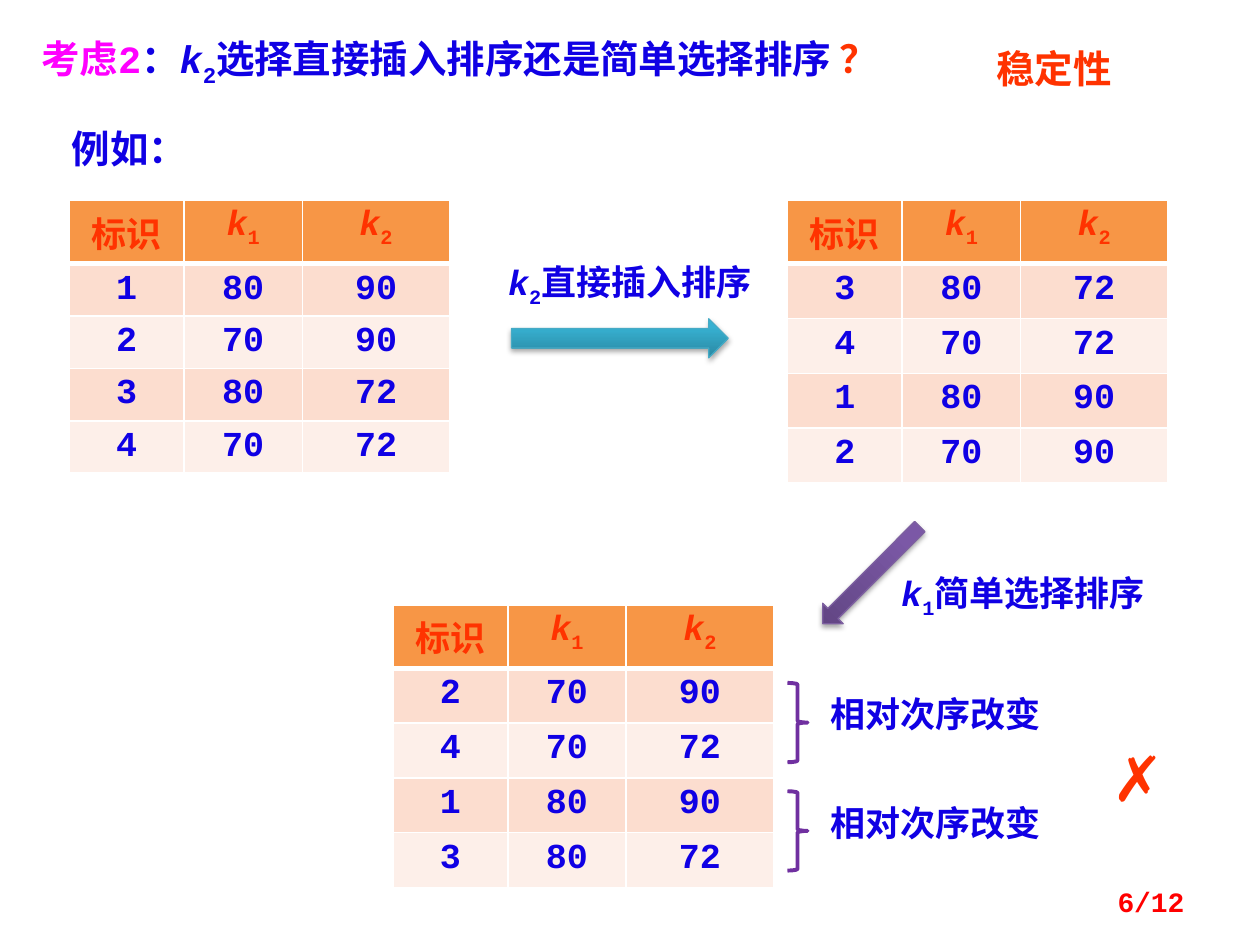
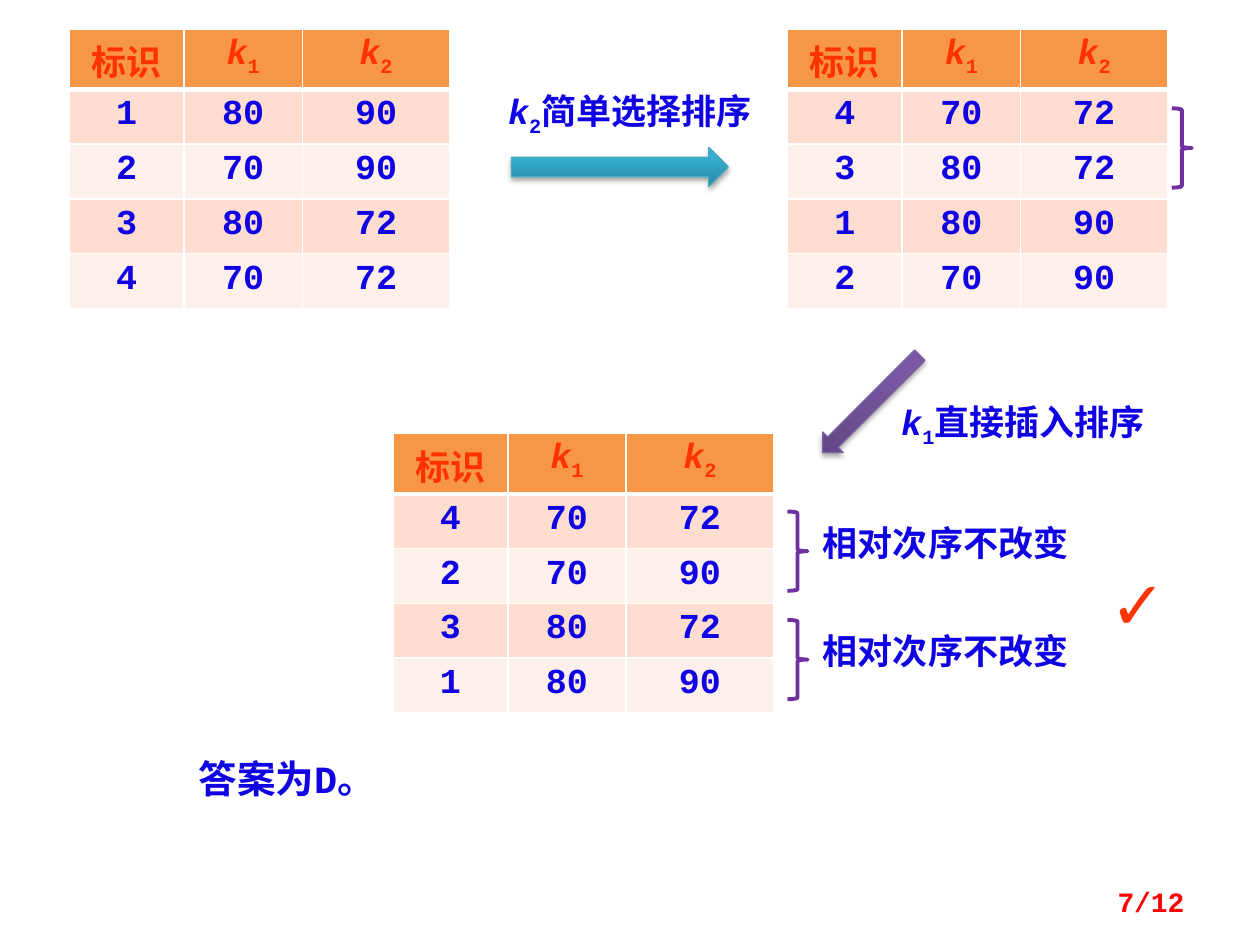
from copy import deepcopy
from dataclasses import dataclass

from lxml import etree
from pptx import Presentation
from pptx.dml.color import RGBColor
from pptx.enum.shapes import MSO_SHAPE
from pptx.enum.text import MSO_ANCHOR, MSO_AUTO_SIZE, PP_ALIGN
from pptx.oxml import parse_xml
from pptx.oxml.ns import nsdecls, qn
from pptx.util import Inches, Pt

RIGHT_ARROW = MSO_SHAPE.RIGHT_ARROW
DOWN_ARROW = MSO_SHAPE.DOWN_ARROW
BRACE = MSO_SHAPE.RIGHT_BRACE
LEFT, CENTER, RIGHT = PP_ALIGN.LEFT, PP_ALIGN.CENTER, PP_ALIGN.RIGHT
MIDDLE = MSO_ANCHOR.MIDDLE
GROW = MSO_AUTO_SIZE.SHAPE_TO_FIT_TEXT


@dataclass(frozen=True)
class Theme:
    """Colours, font and type sizes of the deck."""
    font: str = "Courier New"
    ink: str = "1000E4"
    accent: str = "FF3300"
    pink: str = "FF00FF"
    page: str = "FF0000"
    white: str = "FFFFFF"
    head: str = "F79646"
    bands: tuple = ("FCDDCF", "FDEFE9")
    brace: str = "7030A0"
    teal: tuple = ("2A88A2", "37B1D2", "34B4D6", "46AAC5")
    purple: tuple = ("5F4480", "7B58A6", "7C57A8", "7D60A0")
    title: int = 22
    body: int = 20
    mark: int = 44
    foot: int = 16


T = Theme()
WIDTHS = (0.91, 0.94, 1.17)
HEAD_TALL, TALL = 0.47, 2.21
FIRST = ((1, 80, 90), (2, 70, 90), (3, 80, 72), (4, 70, 72))


def rgb(code):
    """Turn a hex code into a colour."""
    return RGBColor.from_string(code)


def key(sub, color):
    """Give the runs of the letter k with its subscript."""
    return [("k", color, "italic"), (sub, color, "sub")]


def write(frame, parts, size, align):
    """Fill the first paragraph with runs of (text, colour, kind)."""
    para = frame.paragraphs[0]
    para.alignment = align
    for text, color, kind in parts:
        run = para.add_run()
        run.text = text
        font = run.font
        font.name, font.size, font.bold = T.font, Pt(size), True
        font.italic = kind == "italic"
        font.color.rgb = rgb(color)
        if kind == "sub":
            run._r.get_or_add_rPr().set("baseline", "-25000")


def add_text(slide, box, parts, size=T.body, align=CENTER):
    """Add a wrapping text box and return its frame."""
    frame = slide.shapes.add_textbox(*map(Inches, box)).text_frame
    frame.word_wrap = True
    frame.auto_size = GROW
    write(frame, parts, size, align)
    return frame


def add_edges(cell, top, bottom):
    """Draw white borders round a cell."""
    props = cell._tc.get_or_add_tcPr()
    for side, width in (("L", 1), ("R", 1), ("T", top), ("B", bottom)):
        props.append(parse_xml(
            f'<a:ln{side} {nsdecls("a")} w="{Pt(width)}"><a:solidFill>'
            f'<a:srgbClr val="{T.white}"/></a:solidFill></a:ln{side}>'))


def add_grid(slide, left, top, data, head_tall=HEAD_TALL, tall=TALL):
    """Add a table of marks with keys k1 and k2."""
    grid = slide.shapes.add_table(
        len(data) + 1, len(WIDTHS), Inches(left), Inches(top),
        Inches(sum(WIDTHS)), Inches(tall)).table
    for column, width in zip(grid.columns, WIDTHS):
        column.width = Inches(width)
    heads = [[("标识", T.accent, "")], key("1", T.accent), key("2", T.accent)]
    body = [[[(str(value), T.ink, "")] for value in line] for line in data]
    for i, line in enumerate([heads] + body):
        grid.rows[i].height = Inches(
            (tall - head_tall) / len(data) if i else head_tall)
        for j, parts in enumerate(line):
            cell = grid.cell(i, j)
            add_edges(cell, 3 if i == 1 else 1, 1 if i else 3)
            cell.fill.solid()
            cell.fill.fore_color.rgb = rgb(T.bands[(i - 1) % 2] if i else T.head)
            write(cell.text_frame, parts, T.body, CENTER)


def add_arrow(slide, kind, box, tones, turn=0):
    """Add a shaded block arrow with a soft shadow."""
    arrow = slide.shapes.add_shape(kind, *map(Inches, box))
    arrow.rotation = turn
    fill = arrow.fill
    fill.gradient()
    fill.gradient_angle = 90
    props = arrow._element.spPr
    stops = props.find(".//" + qn("a:gsLst"))
    stops.insert(1, deepcopy(stops[0]))
    for stop, spot, tone in zip(fill.gradient_stops, (0, 0.8, 1), tones):
        stop.position = spot
        stop.color.rgb = rgb(tone)
    arrow.line.color.rgb = rgb(tones[-1])
    arrow.line.width = Pt(0.75)
    arrow.shadow.inherit = False
    shade = etree.SubElement(
        props.find(qn("a:effectLst")), qn("a:outerShdw"),
        blurRad=str(Pt(3.1)), dist=str(Pt(1.8)), dir="5400000", rotWithShape="0")
    black = etree.SubElement(shade, qn("a:srgbClr"), val="000000")
    etree.SubElement(black, qn("a:alpha"), val="35000")


def add_brace(slide, left, top):
    """Add a brace that joins two table rows."""
    brace = slide.shapes.add_shape(
        BRACE, *map(Inches, (left, top, 0.16, 0.63)))
    brace.shadow.inherit = False
    brace.fill.background()
    brace.line.color.rgb = rgb(T.brace)
    brace.line.width = Pt(2.25)


def add_sorts(slide, top, steps, second, third, note, note_wide, mark,
              **first_size):
    """Show two sorting steps below the given top."""
    add_grid(slide, 0.55, top, FIRST, **first_size)
    add_grid(slide, 6.25, top, second)
    add_grid(slide, 3.12, top + 3.21, third)
    add_arrow(slide, RIGHT_ARROW, (4.06, top + 0.94, 1.72, 0.31), T.teal)
    add_arrow(slide, DOWN_ARROW, (6.8, top + 2.43, 0.23, 1.09), T.purple, 45)
    spots = ((3.83, 0.43), (6.95, 2.9))
    for (left, drop), sub, step in zip(spots, "21", steps):
        add_text(slide, (left, top + drop, 2.34, 0.44),
                 key(sub, T.ink) + [(step, T.ink, "")])
    for drop in (3.83, 4.69):
        add_brace(slide, 6.25, top + drop)
        add_text(slide, (6.41, top + drop + 0.03, note_wide, 0.44),
                 [(note, T.ink, "")])
    add_text(slide, (8.75, top + 4.11, 0.63, 0.84),
             [(mark, T.accent, "")], T.mark, LEFT)


def add_foot(slide, number):
    """Add the page number."""
    frame = add_text(slide, (7.17, 6.95, 2.33, 0.4),
                     [(f"{number}/12", T.page, "")], T.foot, RIGHT)
    frame.auto_size = MSO_AUTO_SIZE.NONE
    frame.vertical_anchor = MIDDLE


def add_title(slide, box, *parts):
    """Add a line of title-sized text."""
    add_text(slide, box, parts, T.title, LEFT)


def build_broken(slide):
    """Build the slide where the order is lost."""
    add_sorts(slide, 1.59, ("直接插入排序", "简单选择排序"),
              ((3, 80, 72), (4, 70, 72), (1, 80, 90), (2, 70, 90)),
              ((2, 70, 90), (4, 70, 72), (1, 80, 90), (3, 80, 72)),
              "相对次序改变", 2.03, "✗", head_tall=0.49, tall=2.15)
    add_title(slide, (0.23, 0.23, 7.58, 0.47),
              ("考虑2", T.pink, ""), ("：", T.ink, ""), *key("2", T.ink),
              ("选择直接插入排序还是简单选择排序 ", T.ink, ""),
              ("？", T.accent, ""))
    add_title(slide, (7.81, 0.31, 1.41, 0.47), ("稳定性", T.accent, ""))
    add_title(slide, (0.47, 0.94, 1.88, 0.47), ("例如：", T.ink, ""))
    add_foot(slide, 6)


def build_stable(slide):
    """Build the slide where the order is kept."""
    top = 0.23
    add_sorts(slide, top, ("简单选择排序", "直接插入排序"),
              ((4, 70, 72), (3, 80, 72), (1, 80, 90), (2, 70, 90)),
              ((4, 70, 72), (2, 70, 90), (3, 80, 72), (1, 80, 90)),
              "相对次序不改变", 2.19, "✓")
    add_brace(slide, 9.3, top + 0.63)
    add_title(slide, (1.48, 5.94, 2.11, 0.47), ("答案为D。", T.ink, ""))
    add_foot(slide, 7)


def main():
    """Build and save the deck."""
    deck = Presentation()
    deck.slide_width, deck.slide_height = Inches(10), Inches(7.5)
    for build in (build_broken, build_stable):
        build(deck.slides.add_slide(deck.slide_layouts[6]))
    deck.save("out.pptx")


if __name__ == "__main__":
    main()
